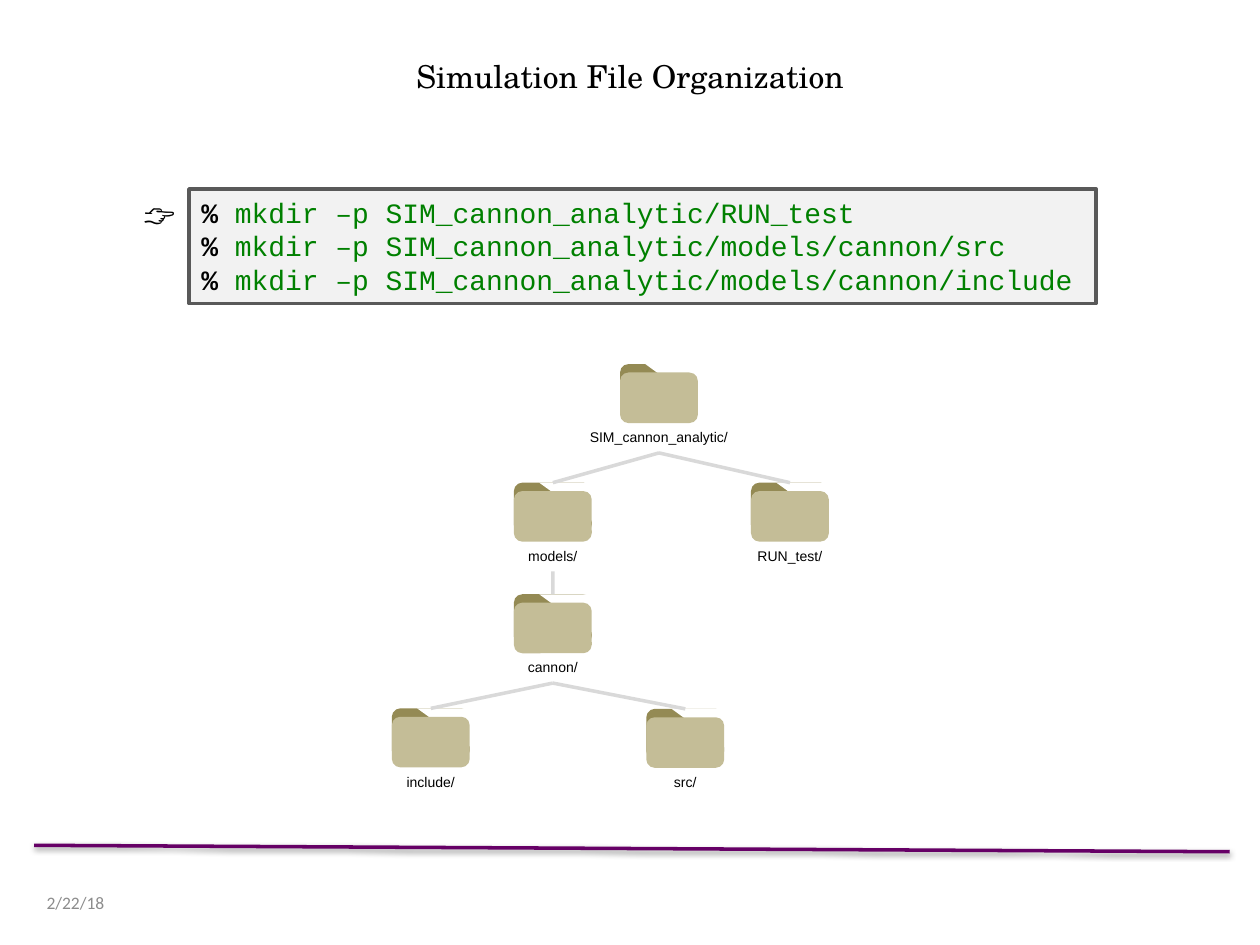
"""Build the slide on how the simulation files are organised."""
from dataclasses import dataclass

from pptx import Presentation
from pptx.dml.color import RGBColor
from pptx.enum.shapes import MSO_CONNECTOR as LINK, MSO_SHAPE as SHAPE
from pptx.enum.text import MSO_ANCHOR as ANCHOR, MSO_AUTO_SIZE as FIT, PP_ALIGN as ALIGN
from pptx.oxml import parse_xml
from pptx.oxml.ns import nsdecls
from pptx.util import Cm, Pt


@dataclass(frozen=True)
class Theme:
    ink: str = "000000"
    paper: str = "FFFFFF"
    muted: str = "8C8C8C"
    rule: str = "660066"
    command: str = "008000"
    code_fill: str = "F2F2F2"
    code_line: str = "595959"
    folder_back: str = "948A54"
    folder_front: str = "C4BD97"
    branch: str = "D9D9D9"
    title_size: int = 18
    code_size: int = 16
    date_size: int = 10
    label_size: int = 8
    line_width: int = 2


def rgb(value):
    return RGBColor.from_string(value)


class SlideBuilder:
    def __init__(self, s, theme):
        self.s = s
        self.theme = theme
        self.shapes = s.shapes

    def run(self, p, text, font, size, color, bold=False):
        r = p.add_run()
        r.text = text
        for name, value in {"name": font, "size": Pt(size), "bold": bold}.items():
            setattr(r.font, name, value)
        r.font.color.rgb = rgb(color)

    def text(self, box, text, font, size, color, align=ALIGN.LEFT, **frame):
        sp = self.shapes.add_textbox(*map(Cm, box))
        tf = sp.text_frame
        for name, value in {"word_wrap": True, "auto_size": FIT.SHAPE_TO_FIT_TEXT, **frame}.items():
            setattr(tf, name, value)
        p = tf.paragraphs[0]
        p.alignment = align
        self.run(p, text, font, size, color)
        return sp

    def shape(self, kind, box, fill, line=None):
        sp = self.shapes.add_shape(kind, *map(Cm, box))
        sp.shadow.inherit = False
        sp.fill.solid()
        sp.fill.fore_color.rgb = rgb(fill)
        if line:
            sp.line.color.rgb = rgb(line)
            sp.line.width = Pt(self.theme.line_width)
        else:
            sp.line.fill.background()
        return sp

    def line(self, ends, color, effect=""):
        c = self.shapes.add_connector(LINK.STRAIGHT, *ends)
        c.line.color.rgb = rgb(color)
        c.line.width = Pt(self.theme.line_width)
        c._element.spPr.append(parse_xml(f'<a:effectLst {nsdecls("a")}>{effect}</a:effectLst>'))
        return c

    def rule(self, *ends):
        shadow = (f'<a:outerShdw blurRad="{Pt(3.1)}" dist="{Pt(1.6)}" dir="5400000">'
                  '<a:srgbClr val="000000"><a:alpha val="38000"/></a:srgbClr></a:outerShdw>')
        self.line(map(Cm, ends), self.theme.rule, shadow)

    def code(self, box, commands):
        t = self.theme
        tf = self.shape(SHAPE.RECTANGLE, box, t.code_fill, t.code_line).text_frame
        for name, value in {"word_wrap": True, "vertical_anchor": ANCHOR.TOP,
                            "auto_size": FIT.SHAPE_TO_FIT_TEXT}.items():
            setattr(tf, name, value)
        for i, command in enumerate(commands):
            p = tf.add_paragraph() if i else tf.paragraphs[0]
            p.alignment = ALIGN.LEFT
            self.run(p, "% ", "Courier New", t.code_size, t.ink, True)
            self.run(p, command, "Courier New", t.code_size, t.command)

    def folder(self, name, x, y, label_width):
        t, w, h = self.theme, 1.57, 1.02
        back = self.shape(SHAPE.ROUNDED_RECTANGLE, (x, y, w, h), t.folder_back)
        notch = self.shape(SHAPE.RIGHT_TRIANGLE, (x + 0.51, y, 1.09, 0.79), t.paper)
        notch.rotation = 180
        self.shape(SHAPE.ROUNDED_RECTANGLE, (x, y + 0.17, w, h), t.folder_front)
        box = (x + (w - label_width) / 2, y + 1.18, label_width, 0.61)
        label = self.text(box, name, "Arial", t.label_size, t.ink, ALIGN.CENTER, word_wrap=False)
        return back, label

    def branch(self, label, back):
        ends = (label.left + label.width // 2, label.top + label.height,
                back.left + back.width // 2, back.top)
        c = self.line(ends, self.theme.branch)
        c.begin_connect(label, 2)
        c.end_connect(back, 0)

    def tree(self, folders, branches):
        self.shapes = self.s.shapes.add_group_shape().shapes
        made = {name: self.folder(name, *place) for name, *place in folders}
        for parent, child in branches:
            self.branch(made[parent][1], made[child][0])
        self.shapes = self.s.shapes


FOLDERS = [
    ("SIM_cannon_analytic/", 12.5, 7.34, 3.33),
    ("models/", 10.36, 9.73, 1.55),
    ("RUN_test/", 15.14, 9.73, 1.85),
    ("cannon/", 10.36, 11.98, 1.55),
    ("include/", 7.9, 14.28, 1.5),
    ("src/", 13.03, 14.29, 1.02),
]
BRANCHES = [
    ("SIM_cannon_analytic/", "models/"),
    ("SIM_cannon_analytic/", "RUN_test/"),
    ("models/", "cannon/"),
    ("cannon/", "include/"),
    ("cannon/", "src/"),
]
COMMANDS = [
    "mkdir –p SIM_cannon_analytic/RUN_test",
    "mkdir –p SIM_cannon_analytic/models/cannon/src",
    "mkdir –p SIM_cannon_analytic/models/cannon/include",
]


def main():
    prs = Presentation()
    prs.slide_width, prs.slide_height = Cm(25.4), Cm(19.05)
    t = Theme()
    b = SlideBuilder(prs.slides.add_slide(prs.slide_layouts[6]), t)
    b.rule(0.69, 17.04, 24.79, 17.17)
    b.text((0.69, 17.96, 5.92, 0.46), "2/22/18", "Calibri", t.date_size, t.muted,
           vertical_anchor=ANCHOR.MIDDLE, auto_size=FIT.NONE)
    b.text((0, 1.02, 25.4, 1.02), "Simulation File Organization", "TeX Gyre Schola",
           t.title_size, t.ink, ALIGN.CENTER)
    b.code((3.81, 3.81, 18.29, 2.31), COMMANDS)
    b.tree(FOLDERS, BRANCHES)
    b.text((2.64, 3.81, 1.17, 1.02), "👉", "Calibri", t.title_size, t.ink)
    prs.save("out.pptx")


if __name__ == "__main__":
    main()
